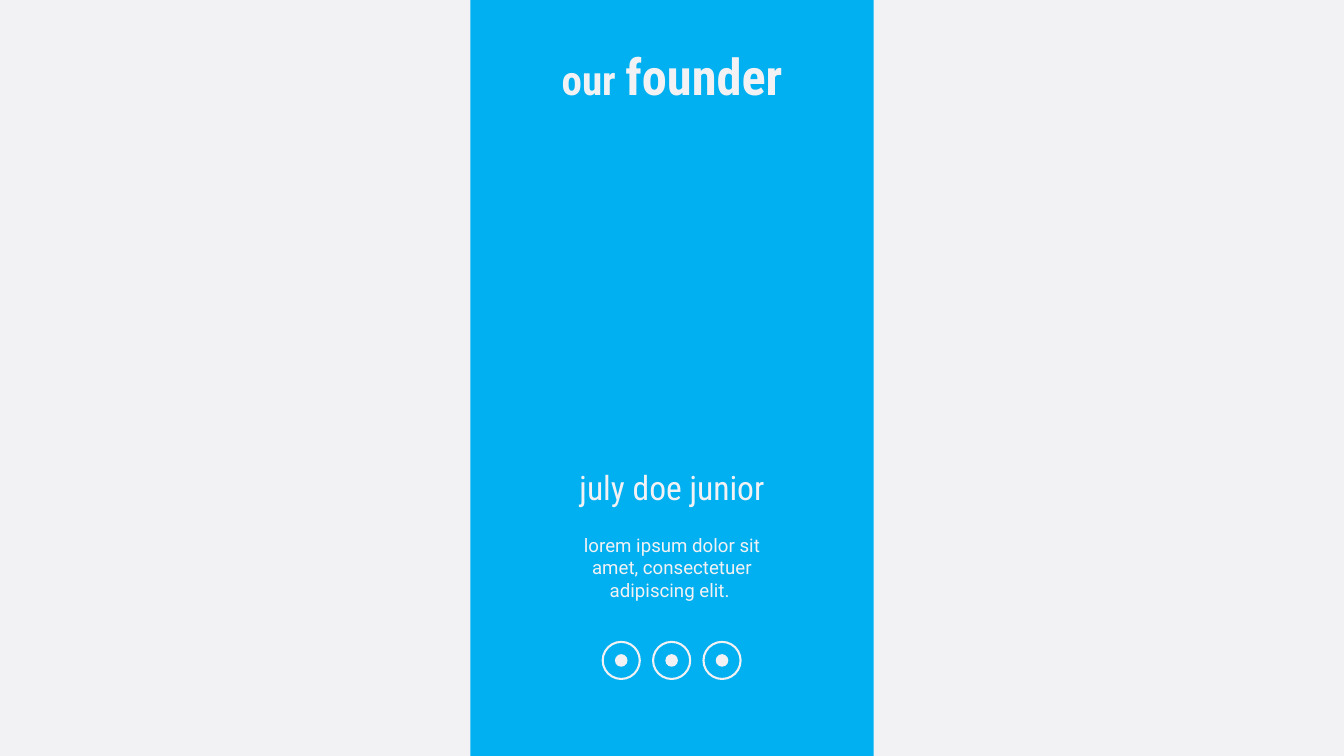
from pptx import Presentation
from pptx.dml.color import RGBColor
from pptx.enum.shapes import MSO_SHAPE
from pptx.enum.text import PP_ALIGN
from pptx.util import Emu, Pt

PX = 9525
SLIDE_WIDTH, SLIDE_HEIGHT = 1920, 1080
PALE = RGBColor(0xF2, 0xF2, 0xF5)
BLUE = RGBColor(0x00, 0xB0, 0xF0)
HEADING_FONT, BODY_FONT = "Roboto Condensed", "Roboto"


def px(*lengths):
    """Turn pixel lengths into EMU."""
    return [Emu(round(length * PX)) for length in lengths]


def add_shape(slide, kind, box, fill=None, line=None, line_width=3):
    """Add a preset shape with an optional fill and outline."""
    shape = slide.shapes.add_shape(kind, *px(*box))
    shape.shadow.inherit = False
    if fill is None:
        shape.fill.background()
    else:
        shape.fill.solid()
        shape.fill.fore_color.rgb = fill
    if line is None:
        shape.line.fill.background()
    else:
        shape.line.color.rgb = line
        shape.line.width = px(line_width)[0]
    return shape


def add_run(paragraph, text, font=BODY_FONT, size=20, bold=False, color=PALE):
    """Append formatted text to a paragraph."""
    run = paragraph.add_run()
    run.text = text
    run.font.name = font
    run.font.size = Pt(size)
    run.font.bold = bold
    run.font.color.rgb = color


def add_centered_paragraph(slide, box):
    """Add a wrapping text box and return its centred paragraph."""
    text_frame = slide.shapes.add_textbox(*px(*box)).text_frame
    text_frame.word_wrap = True
    paragraph = text_frame.paragraphs[0]
    paragraph.alignment = PP_ALIGN.CENTER
    return paragraph


def add_title(slide, box):
    """Add the two-size slide title."""
    paragraph = add_centered_paragraph(slide, box)
    add_run(paragraph, "our ", font=HEADING_FONT, size=44, bold=True)
    add_run(paragraph, "founder", font=HEADING_FONT, size=54, bold=True)


def add_profile(slide, box):
    """Add the founder's name and short biography."""
    left, top, width, height = box
    name = add_centered_paragraph(slide, (left, top, width, 68))
    add_run(name, "july doe junior", font=HEADING_FONT, size=36)
    biography = add_centered_paragraph(slide, (left, top + 96, width, height - 96))
    add_run(biography, "lorem ipsum dolor sit amet, consectetuer adipiscing elit. ")


def add_social_buttons(slide, box, count=3, dot=18):
    """Add evenly spaced ring buttons, each with a plain dot."""
    left, top, width, size = box
    pitch = (width - size) / (count - 1)
    inset = (size - dot) / 2
    for index in range(count):
        x = left + index * pitch
        add_shape(slide, MSO_SHAPE.OVAL, (x, top, size, size), line=PALE)
        add_shape(slide, MSO_SHAPE.OVAL, (x + inset, top + inset, dot, dot), fill=PALE)


def add_founder_panel(slide, box):
    """Add the blue column and everything on it."""
    left, top, width, height = box
    add_shape(slide, MSO_SHAPE.RECTANGLE, box, fill=BLUE)
    add_social_buttons(slide, (left + 189, top + 917, 197, 53))
    add_profile(slide, (left + 136, top + 662, 304, 203))
    add_title(slide, (left + 32, top + 60, width - 64, 97))


def main():
    """Build and save the founder slide."""
    presentation = Presentation()
    presentation.slide_width, presentation.slide_height = px(SLIDE_WIDTH, SLIDE_HEIGHT)
    slide = presentation.slides.add_slide(presentation.slide_layouts[6])
    slide.background.fill.solid()
    slide.background.fill.fore_color.rgb = PALE
    add_founder_panel(slide, (672, 0, 576, SLIDE_HEIGHT))
    presentation.save("out.pptx")


if __name__ == "__main__":
    main()
